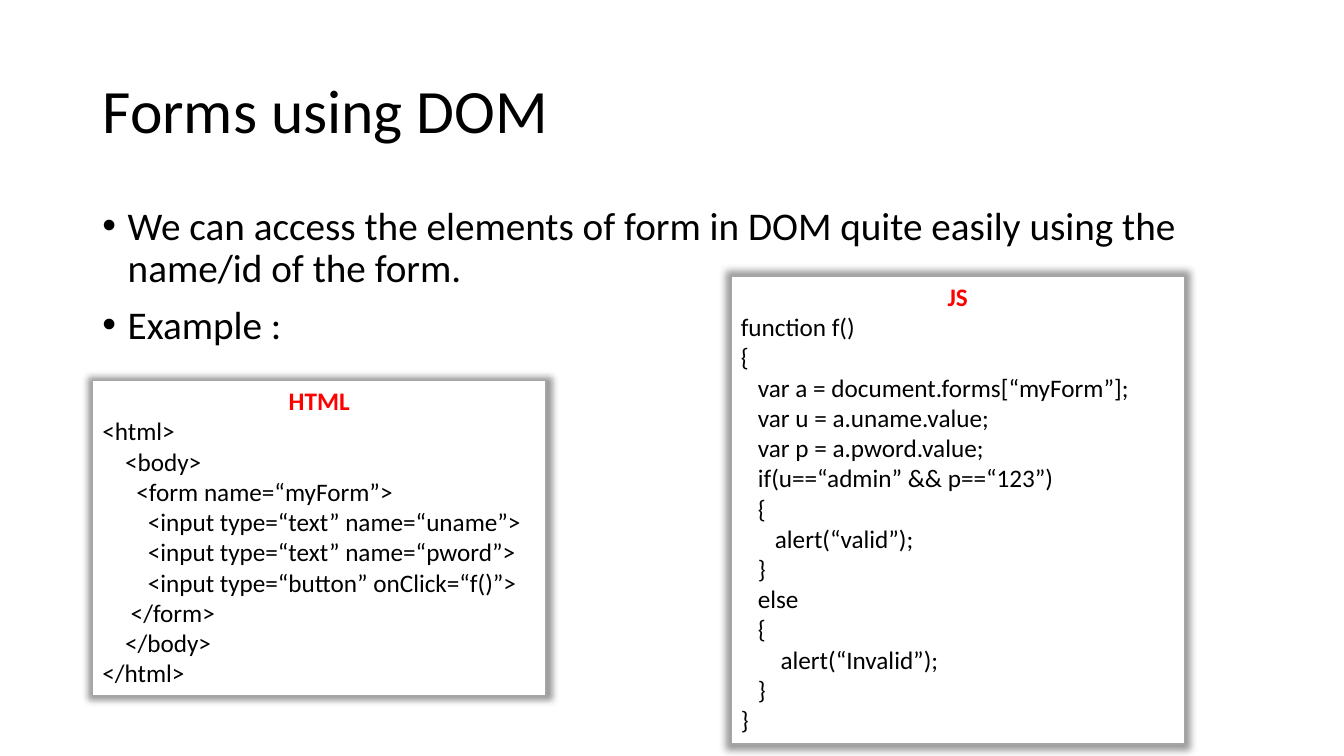
"""Build the slide on reaching form elements through the DOM."""
from dataclasses import dataclass

from lxml import etree
from pptx import Presentation
from pptx.dml.color import RGBColor
from pptx.enum import shapes, text
from pptx.oxml import ns
from pptx.util import Cm, Pt


@dataclass(frozen=True)
class Theme:
    """Colours, font and type sizes of the slide."""
    font: str = "Calibri"
    ink: RGBColor = RGBColor(0, 0, 0)
    heading: RGBColor = RGBColor(255, 0, 0)
    paper: RGBColor = RGBColor(255, 255, 255)
    border: RGBColor = RGBColor(0xA5, 0xA5, 0xA5)
    title_size: int = 44
    body_size: int = 28
    code_size: int = 18


THEME = Theme()

POINTS = [
    "We can access the elements of form in DOM quite easily using the name/id of the form.",
    "Example :",
]

HTML_CODE = """<html>
    <body>
      <form name=“myForm”>
        <input type=“text” name=“uname”>
        <input type=“text” name=“pword”>
        <input type=“button” onClick=“f()”>
     </form>
    </body>
</html>"""

JS_CODE = """function f()
{
   var a = document.forms[“myForm”];
   var u = a.uname.value;
   var p = a.pword.value;
   if(u==“admin” && p==“123”)
   {
      alert(“valid”);
   }
   else
   {
       alert(“Invalid”);
   }
}"""


def style(paragraph, size, color=THEME.ink, bold=False):
    """Format every run of a paragraph."""
    for run in paragraph.runs:
        run.font.name = THEME.font
        run.font.size = Pt(size)
        run.font.color.rgb = color
        run.font.bold = bold


def add_bullet(paragraph):
    """Give a paragraph a round bullet with a hanging indent."""
    properties = paragraph._p.get_or_add_pPr()
    properties.set("marL", str(Cm(0.64)))
    properties.set("indent", str(Cm(-0.64)))
    etree.SubElement(properties, ns.qn("a:buFont"), typeface="Arial")
    etree.SubElement(properties, ns.qn("a:buChar"), char="•")


def add_glow_shadow(shape):
    """Surround a shape with an even, soft grey shadow."""
    shape.shadow.inherit = False
    effects = shape._element.spPr.find(ns.qn("a:effectLst"))
    shadow = etree.SubElement(effects, ns.qn("a:outerShdw"), blurRad=str(Pt(5)),
                              sx="102000", sy="102000", algn="ctr", rotWithShape="0")
    black = etree.SubElement(shadow, ns.qn("a:prstClr"), val="black")
    etree.SubElement(black, ns.qn("a:alpha"), val="40000")


def set_title(slide, wording):
    """Place and format the slide title."""
    title = slide.shapes.title
    title.left, title.top, title.width, title.height = Cm(2.33), Cm(1.01), Cm(29.21), Cm(3.68)
    frame = title.text_frame
    frame.text = wording
    frame.vertical_anchor = text.MSO_ANCHOR.MIDDLE
    heading = frame.paragraphs[0]
    heading.alignment = text.PP_ALIGN.LEFT
    heading.line_spacing = 0.9
    style(heading, THEME.title_size)


def add_points(slide, points):
    """Add the bulleted explanation."""
    box = slide.shapes.add_textbox(Cm(2.33), Cm(5.08), Cm(29.21), Cm(12.09))
    frame = box.text_frame
    frame.word_wrap = True
    frame.text = "\n".join(points)
    for index, point in enumerate(frame.paragraphs):
        add_bullet(point)
        point.line_spacing = 0.9
        point.space_before = Pt(10 if index else 0)
        style(point, THEME.body_size)


def add_code_panel(slide, language, code, left, top, height):
    """Add a framed code listing under the name of its language."""
    panel = slide.shapes.add_shape(shapes.MSO_SHAPE.RECTANGLE, left, top, Cm(11.43), height)
    panel.fill.solid()
    panel.fill.fore_color.rgb = THEME.paper
    panel.line.color.rgb = THEME.border
    panel.line.width = Pt(1)
    add_glow_shadow(panel)
    frame = panel.text_frame
    frame.word_wrap = True
    frame.auto_size = text.MSO_AUTO_SIZE.SHAPE_TO_FIT_TEXT
    frame.vertical_anchor = text.MSO_ANCHOR.TOP
    frame.text = f"{language}\n{code}"
    heading, *code_lines = frame.paragraphs
    heading.alignment = text.PP_ALIGN.CENTER
    style(heading, THEME.code_size, THEME.heading, bold=True)
    for code_line in code_lines:
        code_line.alignment = text.PP_ALIGN.LEFT
        style(code_line, THEME.code_size)


def main():
    """Assemble and save the slide."""
    deck = Presentation()
    deck.slide_width, deck.slide_height = Cm(33.87), Cm(19.05)
    slide = deck.slides.add_slide(deck.slide_layouts[5])
    set_title(slide, "Forms using DOM")
    add_points(slide, POINTS)
    add_code_panel(slide, "HTML", HTML_CODE, Cm(2.33), Cm(9.59), Cm(7.95))
    add_code_panel(slide, "JS", JS_CODE, Cm(18.42), Cm(6.96), Cm(11.79))
    deck.save("out.pptx")


if __name__ == "__main__":
    main()
